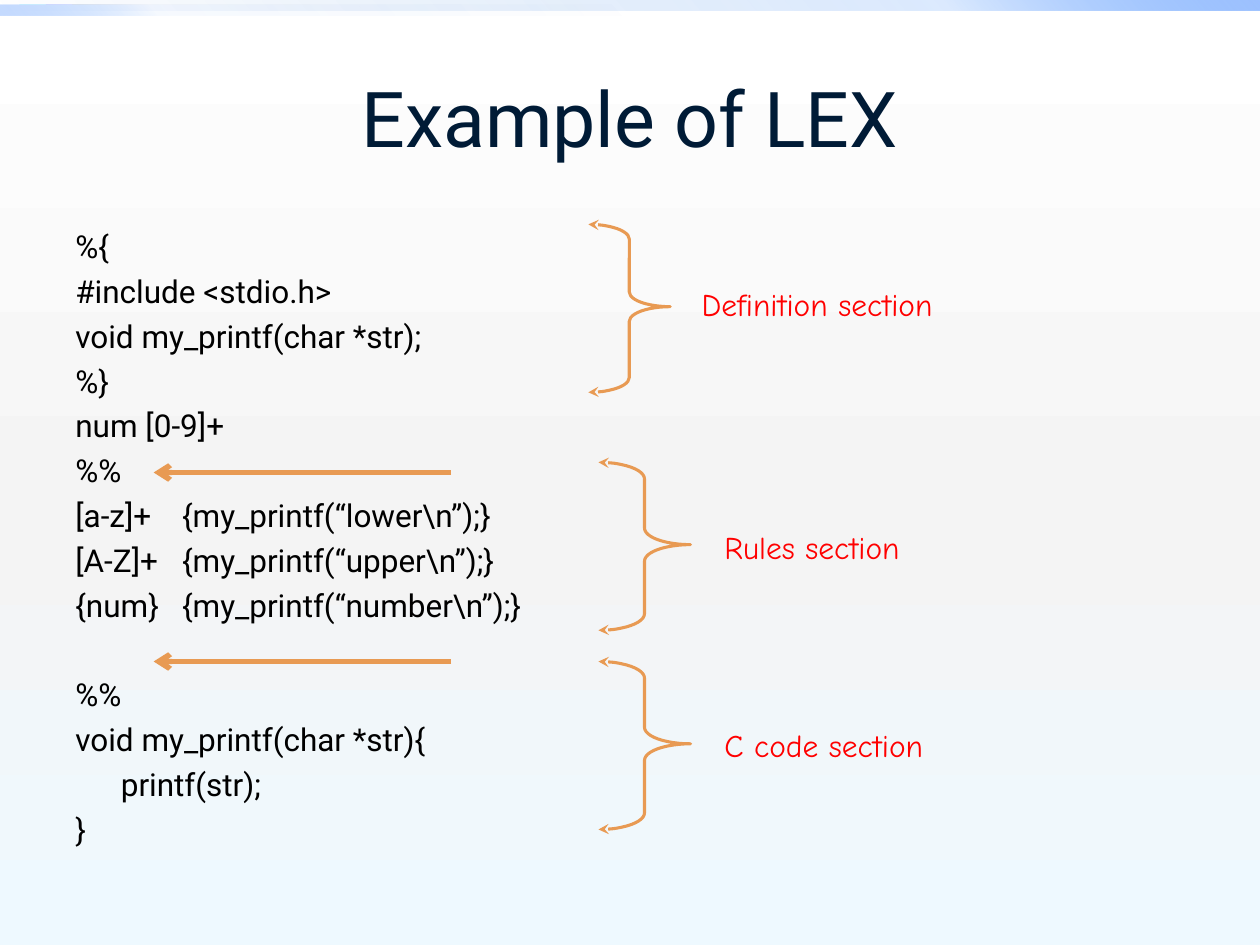
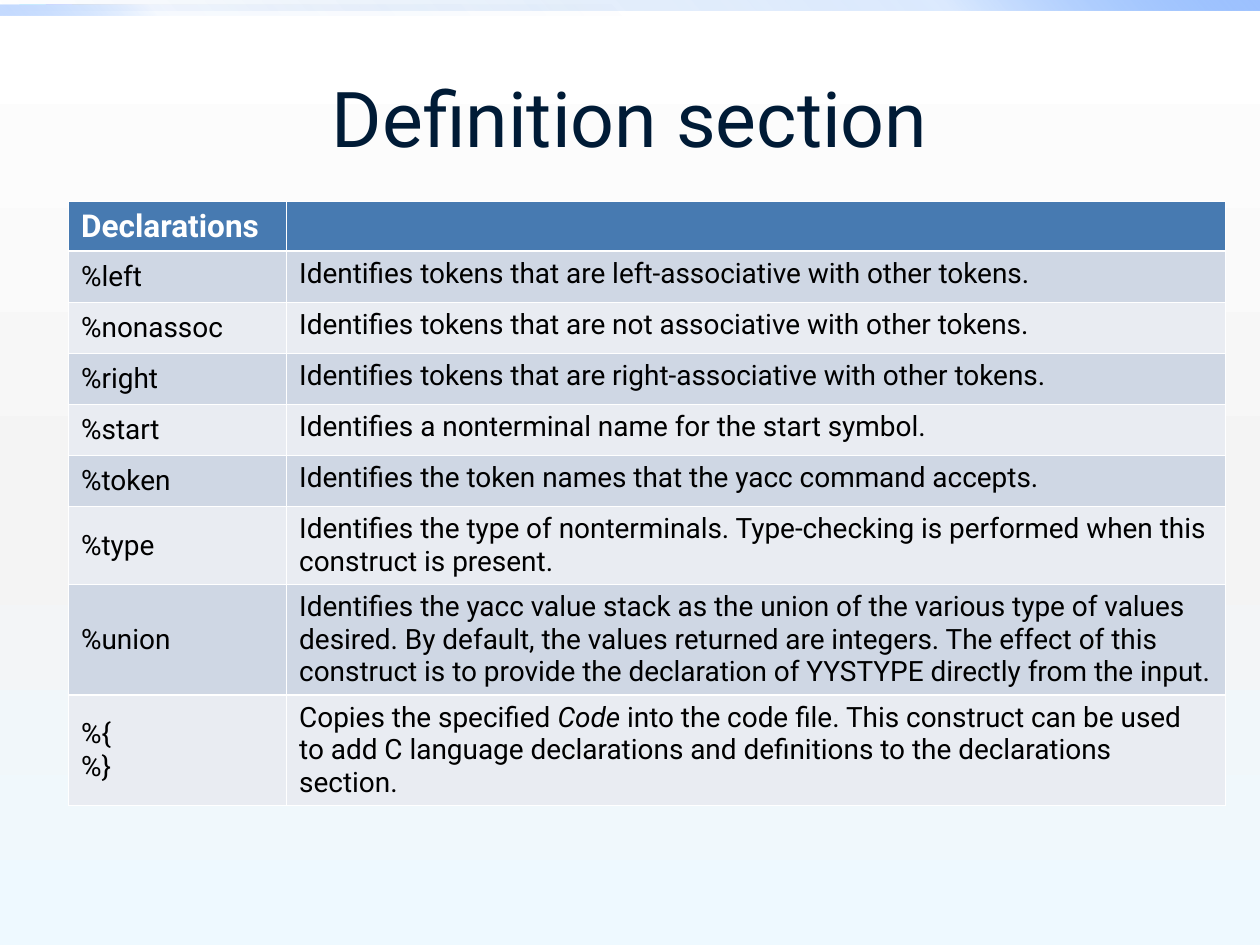
from lxml.etree import SubElement
from pptx import Presentation
from pptx.dml.color import RGBColor
from pptx.enum.shapes import MSO_CONNECTOR, MSO_SHAPE
from pptx.enum.text import MSO_ANCHOR, PP_ALIGN
from pptx.oxml.ns import qn
from pptx.util import Pt

COLORS = {
    "title": "001B36", "text": "000000", "label": "FF0000", "accent": "E89A53",
    "header": "477AB1", "header text": "FFFFFF", "odd row": "CFD7E4", "even row": "E9ECF2",
    "deep blue": "0058B7", "mid blue": "4F95FF", "light blue": "9EC2FF",
    "page top": "FFFFFF", "page middle": "F4F4F4", "page bottom": "EEF9FF",
}
PAGE_STOPS = [(0, "page top", 100), (55, "page middle", 100), (100, "page bottom", 100)]
BANDS = [
    (0, 720, 315, [(0, "deep blue", 0), (75, "mid blue", 20), (100, "light blue", 100)]),
    (2.9, 360, 135, [(0, "deep blue", 0), (75, "mid blue", 5), (100, "light blue", 60)]),
]
TITLES = ["Example of LEX", "Definition section"]


def write_text(paragraph, text, size=18, color="text", font="Roboto", bold=False, italic=False):
    run = paragraph.add_run()
    run.text = text
    run.font.size = Pt(size)
    run.font.name = font
    run.font.bold = bold
    run.font.italic = italic
    run.font.color.rgb = RGBColor.from_string(COLORS[color])


def paint_gradient(fill, element, stops, angle):
    fill.gradient()
    fill.gradient_angle = 360 - angle
    stop_list = element.find(".//" + qn("a:gsLst"))
    for default_stop in list(stop_list):
        stop_list.remove(default_stop)
    for position, color, opacity in stops:
        stop = SubElement(stop_list, qn("a:gs"), pos=str(position * 1000))
        shade = SubElement(stop, qn("a:srgbClr"), val=COLORS[color])
        SubElement(shade, qn("a:alpha"), val=str(opacity * 1000))


presentation = Presentation()
presentation.slide_width = Pt(720)
presentation.slide_height = Pt(540)

for title_text in TITLES:
    slide = presentation.slides.add_slide(presentation.slide_layouts[5])
    paint_gradient(slide.background.fill, slide.element, PAGE_STOPS, 90)
    for top, width, angle, stops in BANDS:
        band = slide.shapes.add_shape(MSO_SHAPE.RECTANGLE, 0, Pt(top), Pt(width), Pt(5.8))
        band.shadow.inherit = False
        band.line.fill.background()
        paint_gradient(band.fill, band.element, stops, angle)
    title = slide.shapes.title
    title.left, title.top, title.width, title.height = Pt(36), Pt(21.6), Pt(648), Pt(90)
    title.text_frame.vertical_anchor = MSO_ANCHOR.MIDDLE
    title_paragraph = title.text_frame.paragraphs[0]
    title_paragraph.alignment = PP_ALIGN.CENTER
    write_text(title_paragraph, title_text, size=44, color="title")

example_slide, definition_slide = presentation.slides

CODE_LINES = [
    "%{", "#include <stdio.h>", "void my_printf(char *str);", "%}", "num [0-9]+", "%%",
    "[a-z]+\t{my_printf(“lower\\n”);}",
    "[A-Z]+\t{my_printf(“upper\\n”);}",
    "{num}\t{my_printf(“number\\n”);}",
    "%%", "void my_printf(char *str){", "printf(str);", "}",
]
LINE_GAP = 4.1
SECTION_GAP = 29.3
RULES_END = 9
code_frame = example_slide.shapes.add_textbox(Pt(36), Pt(126), Pt(648), Pt(356.4)).text_frame
code_frame.word_wrap = True
for index, code_line in enumerate(CODE_LINES):
    paragraph = code_frame.paragraphs[0] if index == 0 else code_frame.add_paragraph()
    paragraph.space_before = Pt(SECTION_GAP if index == RULES_END else LINE_GAP)
    properties = paragraph._p.get_or_add_pPr()
    if "\t" in code_line:
        tab_list = SubElement(properties, qn("a:tabLst"))
        SubElement(tab_list, qn("a:tab"), pos=str(Pt(61)), algn="l")
    if code_line.startswith("printf"):
        properties.set("marL", str(Pt(26)))
        properties.set("indent", "0")
    write_text(paragraph, code_line)

for arrow_y in (270, 378):
    arrow = example_slide.shapes.add_connector(
        MSO_CONNECTOR.STRAIGHT, Pt(257.8), Pt(arrow_y), Pt(87.8), Pt(arrow_y))
    arrow.line.color.rgb = RGBColor.from_string(COLORS["accent"])
    arrow.line.width = Pt(3)
    SubElement(arrow.element.find(".//" + qn("a:ln")), qn("a:tailEnd"), type="arrow")
    SubElement(arrow.element.spPr, qn("a:effectLst"))

SECTIONS = [
    ("Definition section", 393.8, 159.1, 336.2, 128.2, 46.8),
    ("Rules section", 406.8, 298.1, 342, 264.2, 52.6),
    ("C code section", 406.8, 411.1, 342, 378, 52.6),
]
for label_text, label_left, label_top, brace_left, brace_top, brace_width in SECTIONS:
    label = example_slide.shapes.add_textbox(Pt(label_left), Pt(label_top), Pt(164.2), Pt(28.8))
    label.text_frame.word_wrap = True
    write_text(label.text_frame.paragraphs[0], label_text, color="label", font="Comic Neue")
    brace = example_slide.shapes.add_shape(
        MSO_SHAPE.RIGHT_BRACE, Pt(brace_left), Pt(brace_top), Pt(brace_width), Pt(96))
    brace.adjustments[0] = 0.18
    brace.adjustments[1] = 0.49
    brace.shadow.inherit = False
    brace.fill.background()
    brace.line.color.rgb = RGBColor.from_string(COLORS["accent"])
    brace.line.width = Pt(1.75)
    for line_end in ("a:headEnd", "a:tailEnd"):
        SubElement(brace.element.find(".//" + qn("a:ln")), qn(line_end), type="stealth")

DECLARATIONS = [
    ("Declarations", [""]),
    ("%left", ["Identifies tokens that are left-associative with other tokens."]),
    ("%nonassoc", ["Identifies tokens that are not associative with other tokens."]),
    ("%right", ["Identifies tokens that are right-associative with other tokens."]),
    ("%start", ["Identifies a nonterminal name for the start symbol."]),
    ("%token", ["Identifies the token names that the yacc command accepts."]),
    ("%type", ["Identifies the type of nonterminals. Type-checking is performed when this "
               "construct is present."]),
    ("%union", ["Identifies the yacc value stack as the union of the various type of values "
                "desired. By default, the values returned are integers. The effect of this "
                "construct is to provide the declaration of YYSTYPE directly from the input."]),
    ("%{\n%}", ["Copies the specified ", "Code",
                " into the code file. This construct can be used to add C language "
                "declarations and definitions to the declarations section."]),
]
ROW_HEIGHTS = [27.7] + [29.2] * 5 + [44.5, 63.2, 44.5]
table = definition_slide.shapes.add_table(
    len(DECLARATIONS), 2, Pt(39.2), Pt(115.2), Pt(661), Pt(sum(ROW_HEIGHTS))).table
table.columns[0].width = Pt(124.6)
table.columns[1].width = Pt(536.4)
for row, (keyword, description) in enumerate(DECLARATIONS):
    table.rows[row].height = Pt(ROW_HEIGHTS[row])
    is_header = row == 0
    row_color = "header" if is_header else "odd row" if row % 2 else "even row"
    style = {"size": 18 if is_header else 16, "bold": is_header,
             "color": "header text" if is_header else "text"}
    keyword_cell, description_cell = table.cell(row, 0), table.cell(row, 1)
    for cell in (keyword_cell, description_cell):
        cell.fill.solid()
        cell.fill.fore_color.rgb = RGBColor.from_string(COLORS[row_color])
    keyword_cell.vertical_anchor = MSO_ANCHOR.TOP if is_header else MSO_ANCHOR.MIDDLE
    for index, keyword_line in enumerate(keyword.split("\n")):
        frame = keyword_cell.text_frame
        paragraph = frame.paragraphs[0] if index == 0 else frame.add_paragraph()
        write_text(paragraph, keyword_line, **style)
    for part in description:
        write_text(description_cell.text_frame.paragraphs[0], part, italic=part == "Code", **style)

presentation.save("out.pptx")
